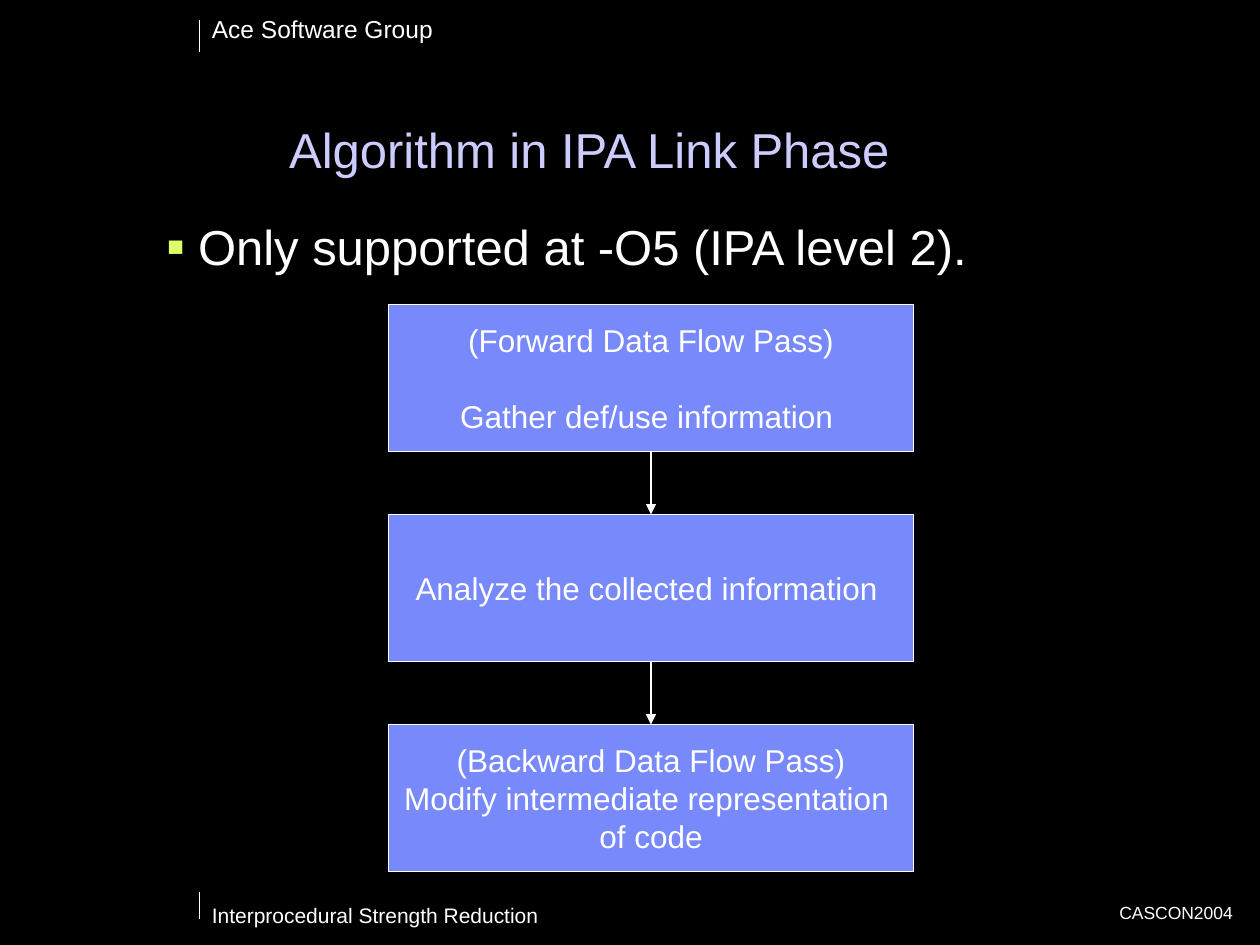
from dataclasses import dataclass

import lxml.etree
import pptx
import pptx.dml.color
import pptx.enum.shapes
import pptx.enum.text
import pptx.oxml.ns
import pptx.util

Pt = pptx.util.Pt
RGBColor = pptx.dml.color.RGBColor
Align = pptx.enum.text.PP_ALIGN
Anchor = pptx.enum.text.MSO_ANCHOR
AutoSize = pptx.enum.text.MSO_AUTO_SIZE
qn = pptx.oxml.ns.qn

BLACK = RGBColor(0x00, 0x00, 0x00)
WHITE = RGBColor(0xFF, 0xFF, 0xFF)
LAVENDER = RGBColor(0xCC, 0xCC, 0xFF)
PERIWINKLE = RGBColor(0x78, 0x89, 0xFB)
LIME = RGBColor(0xDF, 0xFF, 0x66)
FONT = "Arial"

STEP_LEFT, STEP_TOP = 222, 174
STEP_WIDTH, STEP_HEIGHT, STEP_GAP = 300, 84, 36
RULE_X = 114


@dataclass
class Label:
    text: str
    left: float
    top: float
    width: float
    height: float
    size: float
    align: Align = Align.LEFT
    wrap: bool = True


@dataclass
class Step:
    lines: list[str]
    line_gap: float = 0


LABELS = [
    Label("Ace Software Group", RULE_X, 4.5, 141, 24.5, 14, wrap=False),
    Label("Interprocedural Strength Reduction", RULE_X, 512, 468, 21.5, 12),
    Label("CASCON2004", 451, 512, 260.5, 19.5, 10, Align.RIGHT),
]
STEPS = [
    Step(["(Forward Data Flow Pass)", "Gather def/use information "], 21.5),
    Step(["Analyze the collected information "]),
    Step(["(Backward Data Flow Pass)", "Modify intermediate representation ", "of code"]),
]


def format_text(frame, size: float, color: RGBColor, align: Align, gap: float = 0) -> None:
    for index, para in enumerate(frame.paragraphs):
        para.alignment = align
        para.space_before = Pt(gap if index else 0)
        for span in para.runs:
            span.font.name = FONT
            span.font.size = Pt(size)
            span.font.color.rgb = color


def place(shape, left: float, top: float, width: float, height: float) -> None:
    shape.left, shape.top = Pt(left), Pt(top)
    shape.width, shape.height = Pt(width), Pt(height)


def fill_placeholder(shape, text: str, color: RGBColor, align: Align) -> None:
    frame = shape.text_frame
    frame.text = text
    frame.auto_size = AutoSize.NONE
    frame.vertical_anchor = Anchor.TOP
    format_text(frame, 28, color, align)


def add_bullet(para, char: str, color: RGBColor, indent: float) -> None:
    props = para._p.get_or_add_pPr()
    props.set("marL", str(Pt(indent)))
    props.set("indent", str(-Pt(indent)))
    bullet_color = lxml.etree.SubElement(props, qn("a:buClr"))
    lxml.etree.SubElement(bullet_color, qn("a:srgbClr"), val=str(color))
    lxml.etree.SubElement(props, qn("a:buSzPct"), val="110000")
    lxml.etree.SubElement(props, qn("a:buFont"), typeface=FONT)
    lxml.etree.SubElement(props, qn("a:buChar"), char=char)


def add_label(page, label: Label) -> None:
    box = page.shapes.add_textbox(
        Pt(label.left), Pt(label.top), Pt(label.width), Pt(label.height))
    frame = box.text_frame
    frame.word_wrap = label.wrap
    frame.auto_size = AutoSize.SHAPE_TO_FIT_TEXT
    frame.text = label.text
    format_text(frame, label.size, WHITE, label.align)


def add_vertical_line(page, x: float, top: float, bottom: float, arrow: bool = False) -> None:
    line = page.shapes.add_connector(
        pptx.enum.shapes.MSO_CONNECTOR.STRAIGHT, Pt(x), Pt(top), Pt(x), Pt(bottom))
    line.line.color.rgb = WHITE
    line.line.width = Pt(0.75)
    if arrow:
        lxml.etree.SubElement(line.line._get_or_add_ln(), qn("a:tailEnd"), type="triangle")
    lxml.etree.SubElement(line._element.spPr, qn("a:effectLst"))


def add_step(page, step: Step, top: float) -> None:
    box = page.shapes.add_shape(
        pptx.enum.shapes.MSO_SHAPE.RECTANGLE,
        Pt(STEP_LEFT), Pt(top), Pt(STEP_WIDTH), Pt(STEP_HEIGHT))
    box.shadow.inherit = False
    box.fill.solid()
    box.fill.fore_color.rgb = PERIWINKLE
    box.line.color.rgb = WHITE
    box.line.width = Pt(0.75)
    frame = box.text_frame
    frame.word_wrap = False
    frame.vertical_anchor = Anchor.MIDDLE
    frame.text = "\n".join(step.lines)
    format_text(frame, 18, WHITE, Align.CENTER, step.line_gap)


def main() -> None:
    deck = pptx.Presentation()
    deck.slide_width, deck.slide_height = Pt(720), Pt(540)
    page = deck.slides.add_slide(deck.slide_layouts[1])
    page.background.fill.solid()
    page.background.fill.fore_color.rgb = BLACK

    # Header and footer
    for label in LABELS:
        add_label(page, label)
    add_vertical_line(page, RULE_X, 11.5, 30)
    add_vertical_line(page, RULE_X, 510, 525)

    # Title and bullet
    title, body = page.shapes.title, page.placeholders[1]
    place(title, 12, 68.5, 649.5, 39.5)
    fill_placeholder(title, "Algorithm in IPA Link Phase", LAVENDER, Align.CENTER)
    title.text_frame.paragraphs[0].line_spacing = 0.9
    place(body, 88, 120, 614, 48)
    fill_placeholder(body, "Only supported at -O5 (IPA level 2).", WHITE, Align.LEFT)
    add_bullet(body.text_frame.paragraphs[0], "▪", LIME, 18)

    # Flow of steps, joined by arrows
    for index, step in enumerate(STEPS):
        top = STEP_TOP + index * (STEP_HEIGHT + STEP_GAP)
        add_step(page, step, top)
        if index:
            add_vertical_line(page, STEP_LEFT + STEP_WIDTH / 2, top - STEP_GAP, top, arrow=True)

    deck.save("out.pptx")


if __name__ == "__main__":
    main()
